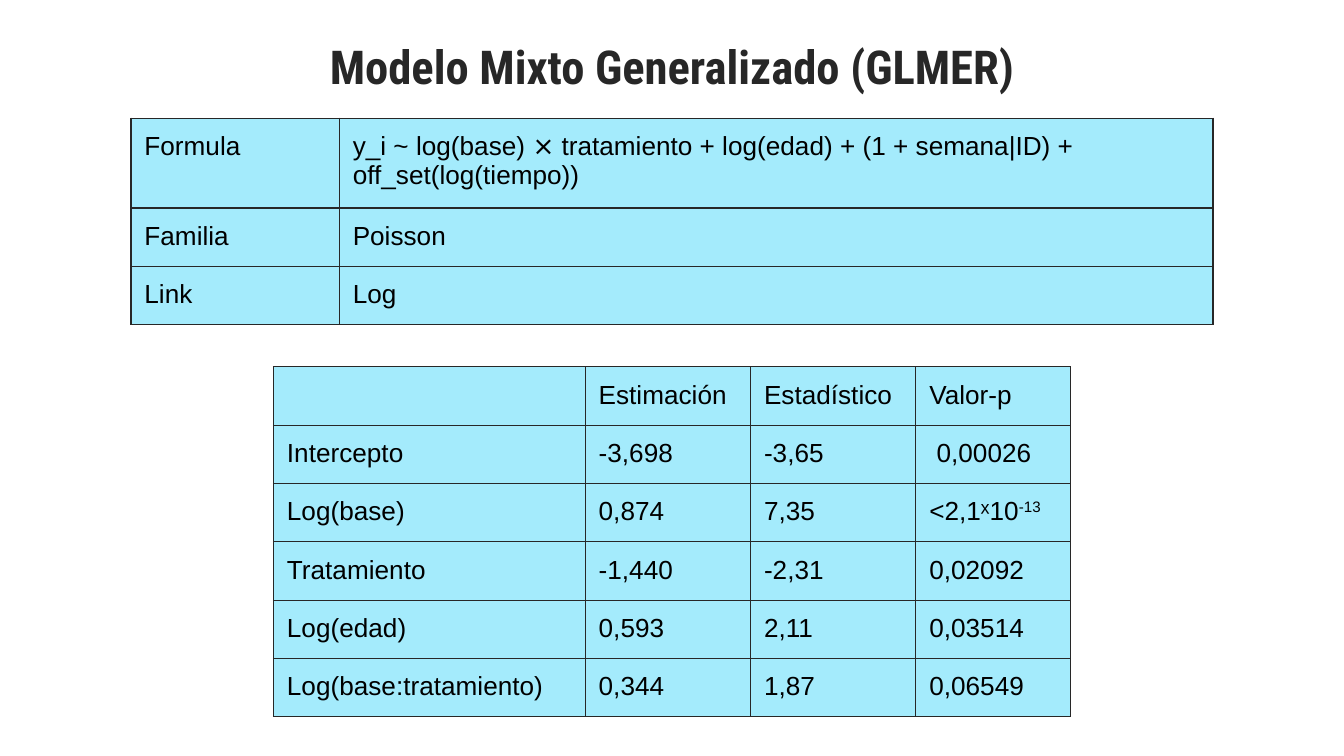
"""Build a slide with the specification and estimates of a mixed model."""
from lxml import etree
from pptx import Presentation
from pptx.dml.color import RGBColor
from pptx.enum import text
from pptx.oxml.ns import qn
from pptx.util import Inches, Pt

TITLE = "Modelo Mixto Generalizado (GLMER)"
TABLES = [
    {
        "top": 0.88,
        "cols": [1.55, 6.5],
        "heights": [0.43] * 3,
        "rows": [
            ("Formula", "y_i ~ log(base) ⨯ tratamiento + log(edad) + (1 + semana|ID) + off_set(log(tiempo))"),
            ("Familia", "Poisson"),
            ("Link", "Log"),
        ],
    },
    {
        "top": 2.73,
        "cols": [2.32, 1.23, 1.23, 1.15],
        "heights": [0.43] * 4 + [0.4, 0.41],
        "rows": [
            ("", "Estimación", "Estadístico", "Valor-p"),
            ("Intercepto", "-3,698", "-3,65", " 0,00026"),
            ("Log(base)", "0,874", "7,35", "<2,1ˣ10^-13"),
            ("Tratamiento", "-1,440", "-2,31", "0,02092"),
            ("Log(edad)", "0,593", "2,11", "0,03514"),
            ("Log(base:tratamiento)", "0,344", "1,87", "0,06549"),
        ],
    },
]
THEME = {
    "title_font": "Roboto Condensed", "title_size": 25,
    "body_font": "Arial", "body_size": 14,
    "dark": "272727", "body": "000000", "fill": "A4EBFC",
    "border": 0.75, "superscript": 30000,
}
SLIDE_WIDTH = 10
FRAME = 3.28


def style(r, font, size, color, bold=False):
    r.font.name = font
    r.font.size = Pt(size)
    r.font.bold = bold
    r.font.color.rgb = RGBColor.from_string(color)


def set_margins(box):
    box.margin_left = box.margin_right = Inches(0.1)
    box.margin_top = box.margin_bottom = Inches(0.1)


def add_title(s):
    sp = s.shapes.add_textbox(Inches(0.5), Inches(0.18), Inches(9), Inches(0.54))
    tf = sp.text_frame
    tf.word_wrap = True
    set_margins(tf)
    tf.text = TITLE
    p = tf.paragraphs[0]
    p.alignment = text.PP_ALIGN.CENTER
    style(p.runs[0], THEME["title_font"], THEME["title_size"], THEME["dark"], True)


def add_borders(cell):
    tc_pr = cell._tc.get_or_add_tcPr()
    for i, side in enumerate(("a:lnL", "a:lnR", "a:lnT", "a:lnB")):
        ln = etree.Element(qn(side), w=str(Pt(THEME["border"])))
        fill = etree.SubElement(ln, qn("a:solidFill"))
        etree.SubElement(fill, qn("a:srgbClr"), val=THEME["dark"])
        tc_pr.insert(i, ln)


def fill_cell(cell, value):
    set_margins(cell)
    cell.fill.solid()
    cell.fill.fore_color.rgb = RGBColor.from_string(THEME["fill"])
    add_borders(cell)
    p = cell.text_frame.paragraphs[0]
    for i, part in enumerate(value.split("^") if value else []):
        r = p.add_run()
        r.text = part
        style(r, THEME["body_font"], THEME["body_size"], THEME["body"])
        if i:
            r.font._element.set("baseline", str(THEME["superscript"]))
    if not value:
        etree.SubElement(p._p, qn("a:endParaRPr"), sz=str(THEME["body_size"] * 100))


def add_table(s, data):
    rows, cols, heights = data["rows"], data["cols"], data["heights"]
    left = (SLIDE_WIDTH - sum(cols)) / 2
    frame = s.shapes.add_table(
        len(rows), len(cols), Inches(left), Inches(data["top"]),
        Inches(FRAME), Inches(FRAME))
    table = frame.table
    table.first_row = table.horz_banding = False
    for column, width in zip(table.columns, cols):
        column.width = Inches(width)
    for row, height, values in zip(table.rows, heights, rows):
        row.height = Inches(height)
        for cell, value in zip(row.cells, values):
            fill_cell(cell, value)
    frame.width = frame.height = Inches(FRAME)


def main():
    prs = Presentation()
    prs.slide_width = Inches(SLIDE_WIDTH)
    prs.slide_height = prs.slide_width * 9 // 16
    s = prs.slides.add_slide(prs.slide_layouts[6])
    add_title(s)
    for data in TABLES:
        add_table(s, data)
    prs.save("out.pptx")


if __name__ == "__main__":
    main()
